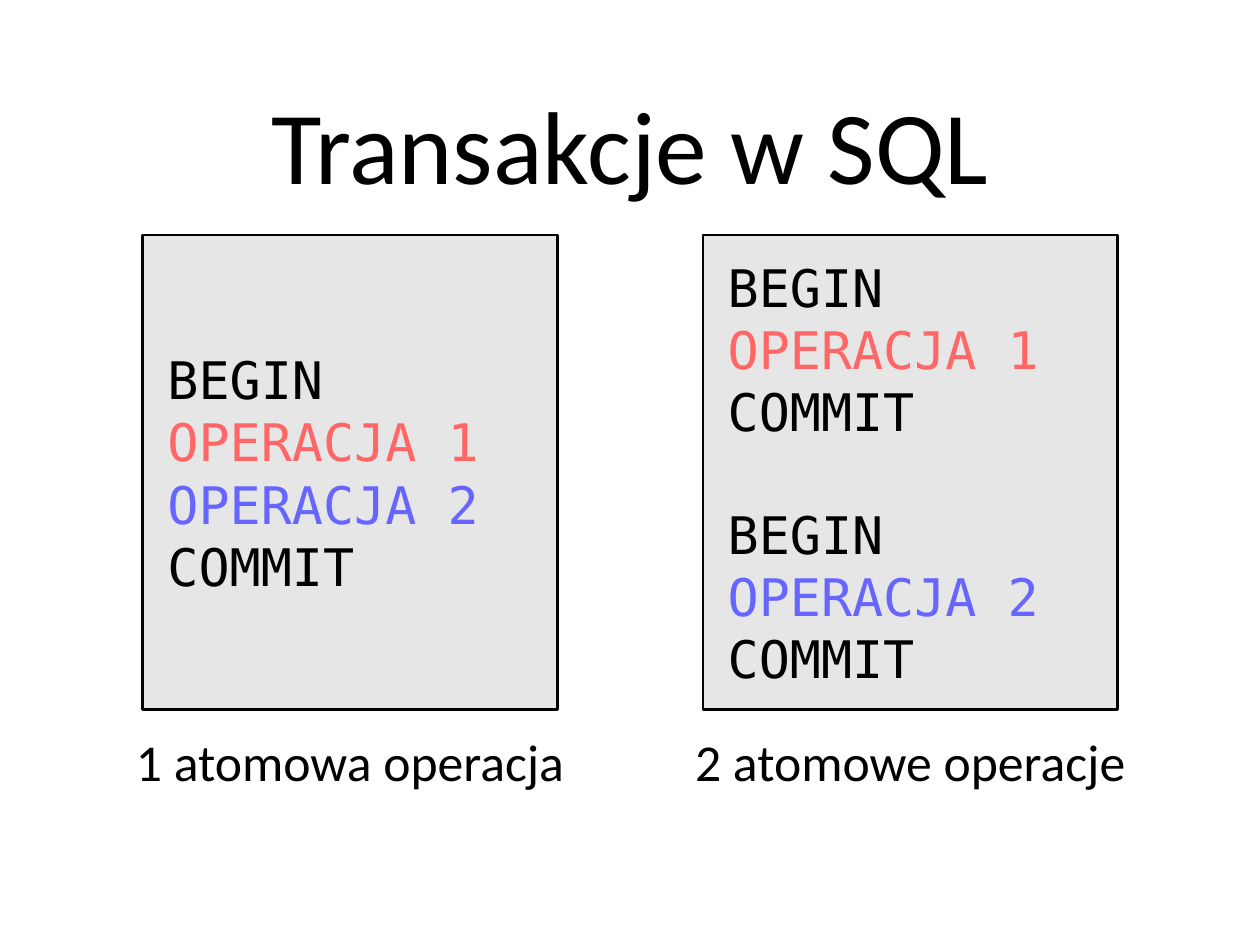
from pptx import Presentation
from pptx.dml.color import RGBColor
from pptx.enum.shapes import MSO_SHAPE
from pptx.enum.text import MSO_ANCHOR, MSO_AUTO_SIZE, PP_ALIGN
from pptx.util import Cm, Pt

BLACK, RED, BLUE, GREY = "000000", "FF6666", "6666FF", "E6E6E6"


def colour(value):
    return RGBColor.from_string(value)


def apply(target, values):
    for name, value in values.items():
        setattr(target, name, value)


class SlideBuilder:
    text_font = "Calibri"
    code_font = "DejaVu Sans Mono"
    title_size = Pt(84)
    body_size = Pt(42)
    block_gap = Pt(50)

    def __init__(self, deck):
        self.page = deck.slides.add_slide(deck.slide_layouts[5])

    def frame(self, box, margin, wrap=True, fit=MSO_AUTO_SIZE.NONE):
        apply(box.text_frame, {
            "margin_left": margin, "margin_right": margin,
            "margin_top": margin, "margin_bottom": margin,
            "vertical_anchor": MSO_ANCHOR.MIDDLE,
            "word_wrap": wrap, "auto_size": fit,
        })
        return box.text_frame

    def add_text(self, para, text, size, font, tint=BLACK, align=PP_ALIGN.CENTER):
        para.alignment = align
        span = para.add_run()
        span.text = text
        apply(span.font, {"size": size, "name": font})
        span.font.color.rgb = colour(tint)

    def title(self, text, left, top, width, height):
        box = self.page.shapes.title
        apply(box, {"left": left, "top": top, "width": width, "height": height})
        frame = self.frame(box, Cm(0.15))
        self.add_text(frame.paragraphs[0], text, self.title_size, self.text_font)

    def code(self, blocks, left, top, width, height):
        box = self.page.shapes.add_shape(MSO_SHAPE.RECTANGLE, left, top, width, height)
        box.shadow.inherit = False
        box.fill.solid()
        box.fill.fore_color.rgb = colour(GREY)
        box.line.color.rgb = colour(BLACK)
        box.line.width = Pt(2)
        frame = self.frame(box, Cm(0.71))
        para = frame.paragraphs[0]
        for block_number, block in enumerate(blocks):
            for line_number, (text, tint) in enumerate(block):
                if block_number or line_number:
                    para = frame.add_paragraph()
                if block_number and not line_number:
                    para.space_before = self.block_gap
                self.add_text(para, text, self.body_size, self.code_font, tint, PP_ALIGN.LEFT)

    def caption(self, text, left, top, width, height):
        box = self.page.shapes.add_textbox(left, top, width, height)
        frame = self.frame(box, 0, False, MSO_AUTO_SIZE.SHAPE_TO_FIT_TEXT)
        self.add_text(frame.paragraphs[0], text, self.body_size, self.text_font)


def transaction(*operations):
    return [("BEGIN", BLACK), *operations, ("COMMIT", BLACK)]


def main():
    deck = Presentation()
    apply(deck, {"slide_width": Cm(36.12), "slide_height": Cm(27.08)})
    builder = SlideBuilder(deck)
    builder.title("Transakcje w SQL", Cm(3.53), Cm(0.71), Cm(29.06), Cm(6.78))

    first, second = ("OPERACJA 1", RED), ("OPERACJA 2", BLUE)
    columns = [
        ("1 atomowa operacja", [transaction(first, second)]),
        ("2 atomowe operacje", [transaction(first), transaction(second)]),
    ]
    for number, (label, blocks) in enumerate(columns):
        left = 4.09 + number * 16.06
        builder.code(blocks, Cm(left), Cm(6.73), Cm(11.89), Cm(13.61))
        builder.caption(label, Cm(left - 1.14), Cm(20.9), Cm(14.17), Cm(1.78))
    deck.save("out.pptx")


if __name__ == "__main__":
    main()
